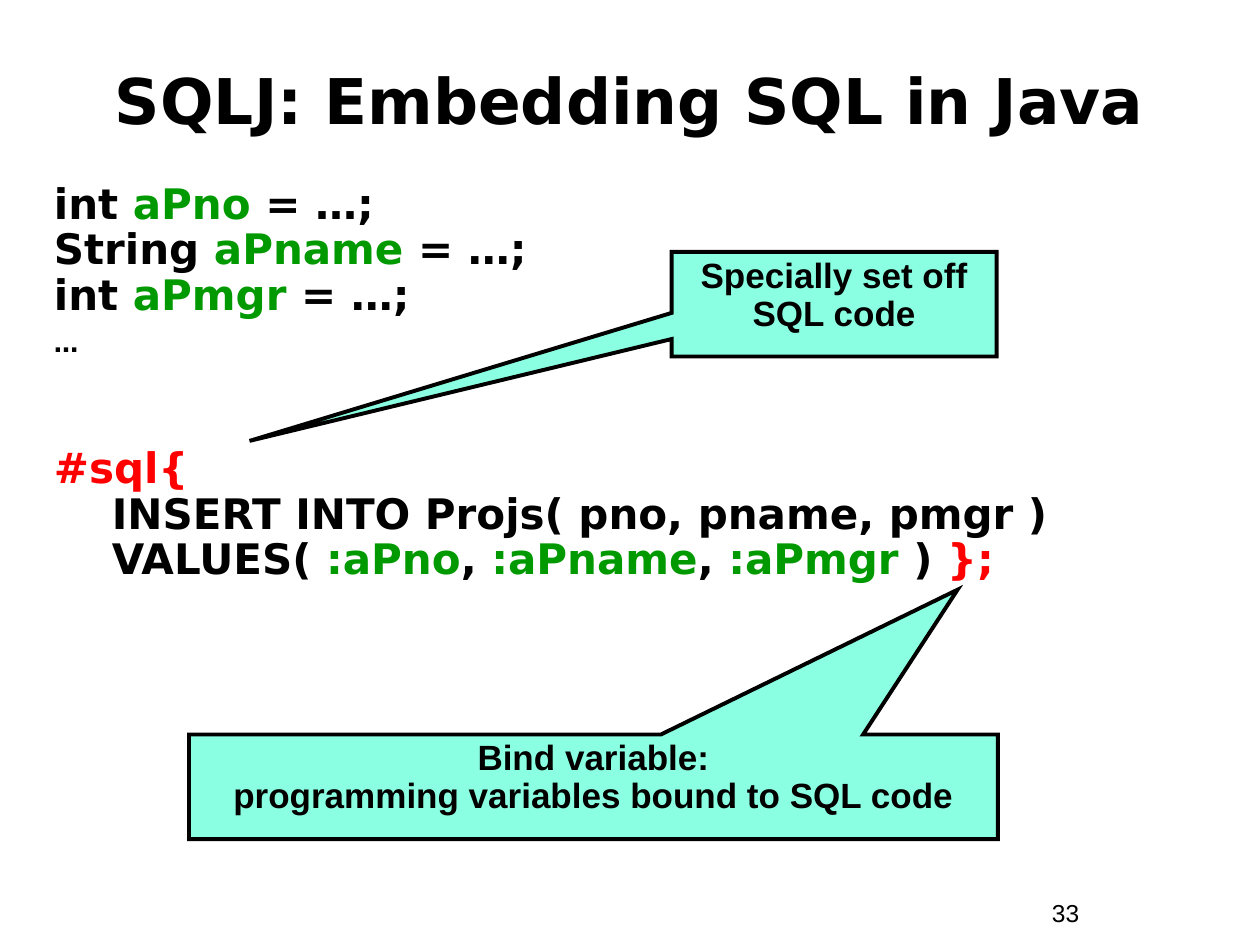
from lxml import etree
from pptx import Presentation
from pptx import util as u
from pptx.dml.color import RGBColor
from pptx.enum import shapes, text
from pptx.oxml.ns import qn

BLACK = RGBColor(0x00, 0x00, 0x00)
GREEN = RGBColor(0x00, 0x99, 0x00)
RED = RGBColor(0xFF, 0x00, 0x00)
AQUA = RGBColor(0x8B, 0xFF, 0xE1)
CODE_FONT, LABEL_FONT = "DejaVu Sans", "Arial"

TITLE = "SQLJ: Embedding SQL in Java"
PAGE_NUMBER = "33"

# Line styles: size, left margin (inches), line spacing, space before (points)
DECLARATION = (24, 0, 0.85, 1.5)
ELLIPSIS = (14, 0, 0.9, 7)
BLOCK_START = (24, 0, 0.9, 51)
STATEMENT = (24, 0.46, 0.85, 1.5)

CODE = [
    (DECLARATION, [("int ", BLACK), ("aPno", GREEN), (" = …;", BLACK)]),
    (DECLARATION, [("String ", BLACK), ("aPname", GREEN), (" = …;", BLACK)]),
    (DECLARATION, [("int ", BLACK), ("aPmgr", GREEN), (" = …;", BLACK)]),
    (ELLIPSIS, [("…", BLACK)]),
    (BLOCK_START, [("#sql{", RED)]),
    (STATEMENT, [("INSERT INTO Projs( pno, pname, pmgr )", BLACK)]),
    (STATEMENT, [("VALUES( ", BLACK), (":aPno", GREEN), (", ", BLACK),
                 (":aPname", GREEN), (", ", BLACK), (":aPmgr", GREEN),
                 (" ) ", BLACK), ("};", RED)]),
]

# Callouts: text, box (left, top, width, height), pointer tip (x, y)
CALLOUTS = [
    ("Bind variable:\nprogramming variables bound to SQL code",
     (1.5, 5.83, 6.42, 0.83), (7.6, 4.68)),
    ("Specially set off\vSQL code",
     (5.33, 2, 2.58, 0.83), (1.98, 3.5)),
]


def inches(box):
    return [u.Inches(length) for length in box]


def format_run(run, font, size, color=BLACK, bold=True):
    run.font.name, run.font.size, run.font.bold = font, u.Pt(size), bold
    run.font.color.rgb = color


def add_title(slide):
    title = slide.shapes.title
    title.left, title.top, title.width, title.height = inches((0.33, 0.33, 9.33, 0.92))
    title.text_frame.text = TITLE
    title.text_frame.vertical_anchor = text.MSO_ANCHOR.MIDDLE
    paragraph = title.text_frame.paragraphs[0]
    paragraph.alignment = text.PP_ALIGN.CENTER
    format_run(paragraph.runs[0], CODE_FONT, 36)


def add_code(slide):
    frame = slide.shapes.add_textbox(*inches((0.33, 1.42, 9.33, 5.25))).text_frame
    frame.word_wrap = True
    for index, ((size, margin, spacing, before), parts) in enumerate(CODE):
        paragraph = frame.add_paragraph() if index else frame.paragraphs[0]
        paragraph.line_spacing, paragraph.space_before = spacing, u.Pt(before)
        paragraph._p.get_or_add_pPr().set("marL", str(u.Inches(margin)))
        for words, color in parts:
            run = paragraph.add_run()
            run.text = words
            format_run(run, CODE_FONT, size, color)


def add_callout(slide, words, box, tip):
    left, top, width, height = box
    callout = slide.shapes.add_shape(
        shapes.MSO_SHAPE.RECTANGULAR_CALLOUT, *inches(box))
    # The pointer is set as an offset from the centre, in shares of the box
    callout.adjustments[0] = (tip[0] - left) / width - 0.5
    callout.adjustments[1] = (tip[1] - top) / height - 0.5
    callout.shadow.inherit = False
    callout.fill.solid()
    callout.fill.fore_color.rgb = AQUA
    callout.line.color.rgb, callout.line.width = BLACK, u.Pt(2.25)
    etree.SubElement(callout.line._get_or_add_ln(), qn("a:miter"), lim="800000")
    frame = callout.text_frame
    frame.text, frame.word_wrap = words, True
    frame.vertical_anchor = text.MSO_ANCHOR.TOP
    for paragraph in frame.paragraphs:
        paragraph.alignment, paragraph.line_spacing = text.PP_ALIGN.CENTER, 0.9
        for run in paragraph.runs:
            format_run(run, LABEL_FONT, 20)


def add_page_number(slide):
    frame = slide.shapes.add_textbox(*inches((8.25, 7.08, 0.92, 0.34))).text_frame
    frame.text, frame.word_wrap = PAGE_NUMBER, True
    format_run(frame.paragraphs[0].runs[0], LABEL_FONT, 14, bold=False)


def main():
    presentation = Presentation()
    presentation.slide_width, presentation.slide_height = inches((10, 7.5))
    slide = presentation.slides.add_slide(presentation.slide_layouts[5])
    add_page_number(slide)
    add_title(slide)
    add_code(slide)
    for callout in CALLOUTS:
        add_callout(slide, *callout)
    presentation.save("out.pptx")


if __name__ == "__main__":
    main()
